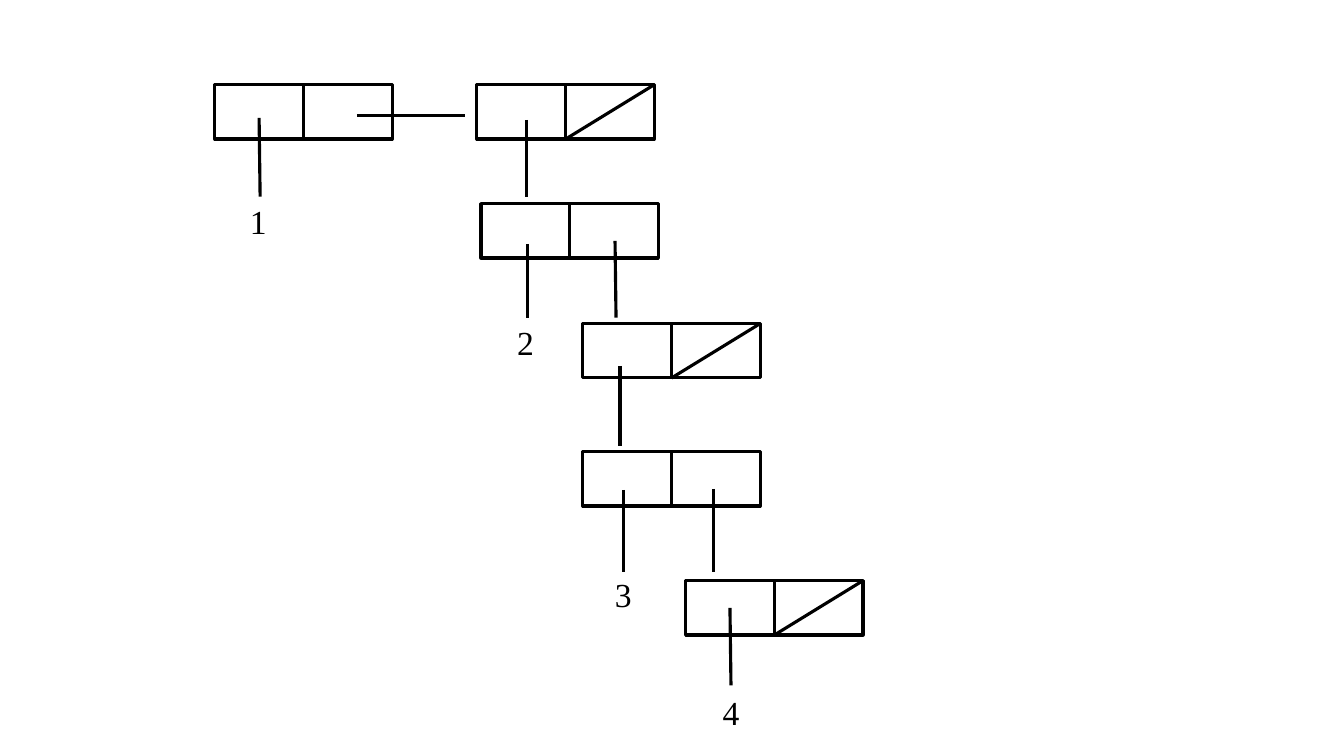
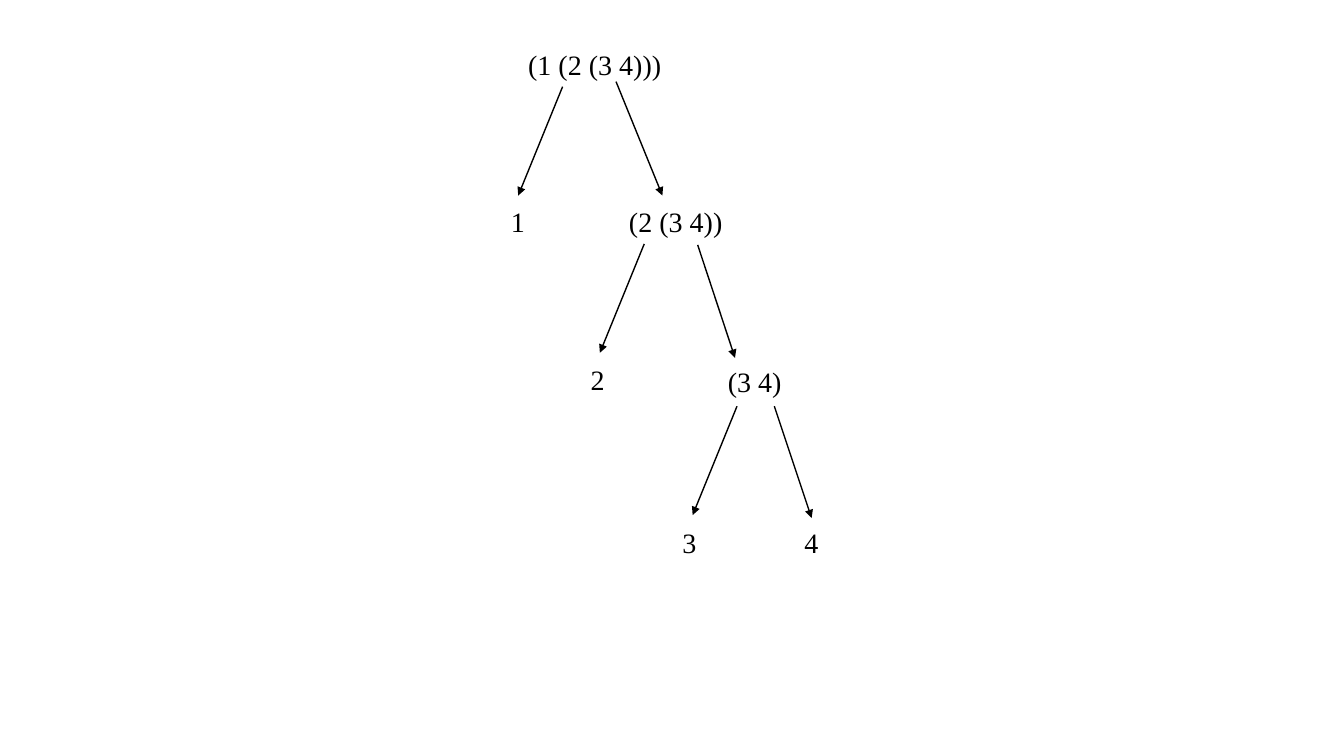
import lxml.etree
import pptx
import pptx.util
import pptx.dml.color
import pptx.enum.shapes
import pptx.enum.text
import pptx.oxml.ns

Inches = pptx.util.Inches
FONT = "Times New Roman"
INK, PAPER = "000000", "FFFFFF"
CELL_W, CELL_H = 0.88, 0.54
THICK, THIN = 2.25, 1


def to_rgb(color):
    """Turn a hex string into a colour."""
    return pptx.dml.color.RGBColor.from_string(color)


def paint(fill, color):
    """Give a fill one solid colour."""
    fill.solid()
    fill.fore_color.rgb = to_rgb(color)


def draw_line(slide, start, end, width, arrow=False):
    """Draw a straight line, with an arrowhead at its end if asked."""
    points = [Inches(n) for n in (*start, *end)]
    line = slide.shapes.add_connector(
        pptx.enum.shapes.MSO_CONNECTOR.STRAIGHT, *points)
    paint(line.line.fill, INK)
    line.line.width = pptx.util.Pt(width)
    qn = pptx.oxml.ns.qn
    props = line._element.spPr
    lxml.etree.SubElement(props, qn("a:effectLst"))
    if arrow:
        stroke = props.find(qn("a:ln"))
        lxml.etree.SubElement(stroke, qn("a:tailEnd"), type="triangle")


def add_label(slide, text, left, top, width, height, size):
    """Write one line of text in a box that fits it."""
    box = slide.shapes.add_textbox(*map(Inches, (left, top, width, height)))
    frame = box.text_frame
    frame.word_wrap = False
    frame.auto_size = pptx.enum.text.MSO_AUTO_SIZE.SHAPE_TO_FIT_TEXT
    run = frame.paragraphs[0].add_run()
    run.text = text
    run.font.name = FONT
    run.font.size = pptx.util.Pt(size)
    run.font.color.rgb = to_rgb(INK)


def add_pair(slide, left, top, last):
    """Draw a two-cell pair; a slash marks the last one of a list."""
    for col in range(2):
        cell = slide.shapes.add_shape(
            pptx.enum.shapes.MSO_SHAPE.RECTANGLE,
            Inches(left + col * CELL_W), Inches(top),
            Inches(CELL_W), Inches(CELL_H))
        cell.shadow.inherit = False
        paint(cell.fill, PAPER)
        paint(cell.line.fill, INK)
        cell.line.width = pptx.util.Pt(THICK)
    if last:
        draw_line(slide, (left + 2 * CELL_W, top),
                  (left + CELL_W, top + CELL_H), THICK)


def build_pairs(slide, left, top):
    """Place the box-and-pointer diagram from its top left corner."""
    pairs = [(0, 0, False), (2.6, 0, True), (2.64, 1.18, False),
             (3.65, 2.37, True), (3.65, 3.64, False), (4.67, 4.92, True)]
    for x, y, last in pairs:
        add_pair(slide, left + x, top + y, last)
    # Each link: start x, start y, end x, end y
    links = [(0.44, 0.33, 0.45, 1.11), (1.41, 0.31, 2.48, 0.31),
             (3.09, 0.35, 3.09, 1.11), (3.1, 1.58, 3.1, 2.31),
             (3.97, 1.55, 3.98, 2.31), (4.02, 2.79, 4.02, 3.58),
             (4.05, 4.02, 4.05, 4.83), (4.95, 4.01, 4.95, 4.83),
             (5.11, 5.19, 5.12, 5.96)]
    for x, y, end_x, end_y in links:
        draw_line(slide, (left + x, top + y),
                  (left + end_x, top + end_y), THICK)
    leaves = [(0.25, 1.1), (2.9, 2.3), (3.87, 4.8), (4.94, 5.98)]
    for num, (x, y) in enumerate(leaves, 1):
        add_label(slide, str(num), left + x, top + y, 0.37, 0.5, 24)


def build_tree(slide, left, top):
    """Place the tree of nested lists from its top left corner."""
    nodes = [("(1 (2 (3 4)))", 0.17, 0, 1.53), ("1", 0, 1.56, 0.34),
             ("(2 (3 4))", 1.17, 1.56, 1.13), ("2", 0.79, 3.13, 0.34),
             ("(3 4)", 2.15, 3.15, 0.74), ("3", 1.7, 4.74, 0.34),
             ("4", 2.91, 4.74, 0.34)]
    for text, x, y, width in nodes:
        add_label(slide, text, left + x, top + y, width, 0.44, 20)
    # Each arrow: start x, start y, shift, drop
    arrows = [(0.61, 0.44, -0.44, 1.08), (1.14, 0.39, 0.46, 1.13),
              (1.42, 2, -0.44, 1.08), (1.95, 2.01, 0.37, 1.12),
              (2.34, 3.61, -0.44, 1.08), (2.71, 3.61, 0.37, 1.11)]
    for x, y, shift, drop in arrows:
        draw_line(slide, (left + x, top + y),
                  (left + x + shift, top + y + drop), THIN, arrow=True)


def main():
    """Build both slides and save the deck."""
    deck = pptx.Presentation()
    deck.slide_width, deck.slide_height = Inches(13.33), Inches(7.5)
    blank = deck.slide_layouts[6]
    build_pairs(deck.slides.add_slide(blank), 2.13, 0.84)
    build_tree(deck.slides.add_slide(blank), 4.97, 0.42)
    deck.save("out.pptx")


main()
